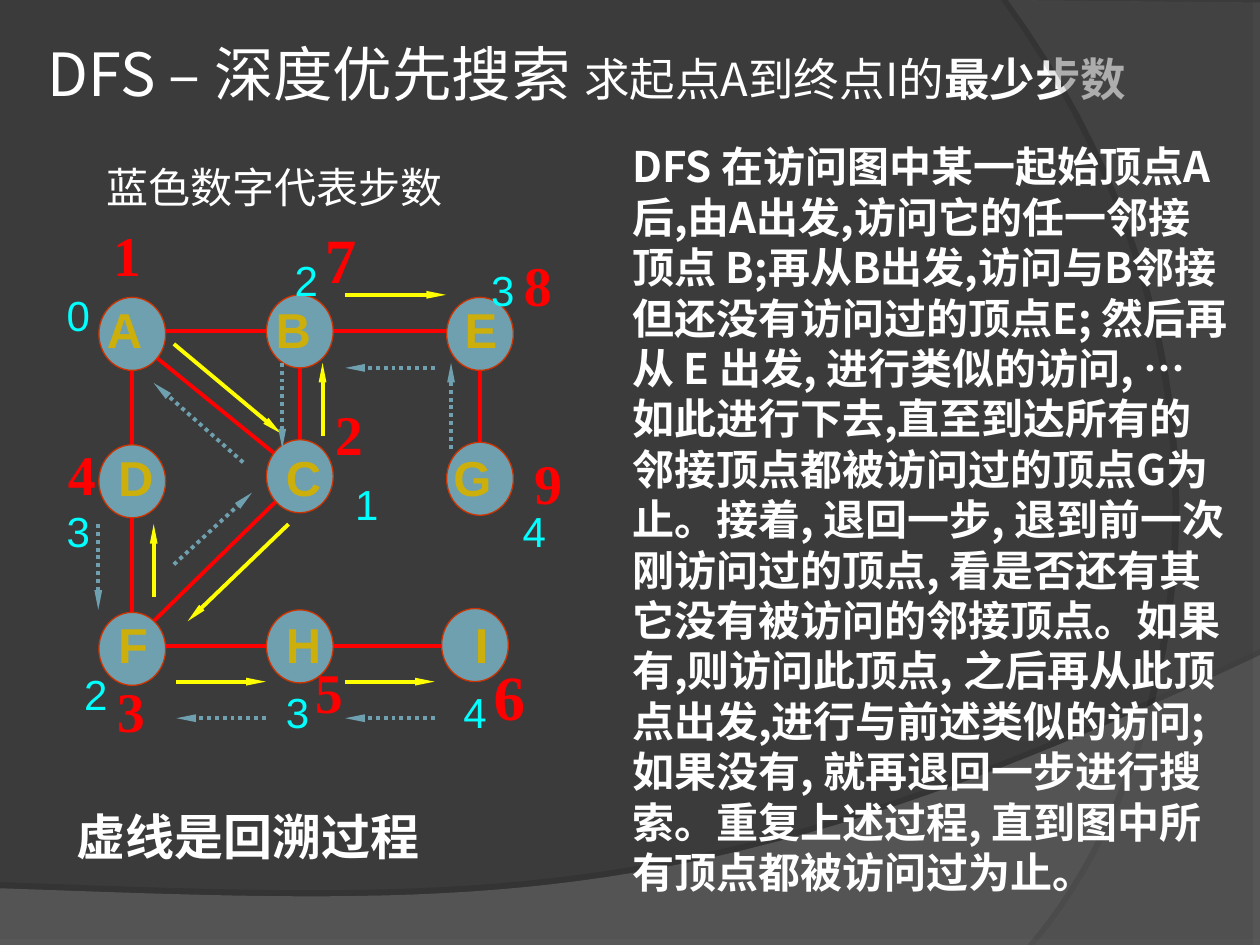
from collections import namedtuple
from dataclasses import dataclass

from lxml import etree
from pptx import Presentation
from pptx.dml.color import RGBColor
from pptx.enum.dml import MSO_LINE
from pptx.enum.shapes import MSO_CONNECTOR, MSO_SHAPE
from pptx.enum.text import MSO_ANCHOR, MSO_AUTO_SIZE, PP_ALIGN
from pptx.oxml.ns import qn
from pptx.util import Inches, Pt

DOT = MSO_LINE.ROUND_DOT
LINE = MSO_CONNECTOR.STRAIGHT
OVAL = MSO_SHAPE.OVAL
MIDDLE = MSO_ANCHOR.MIDDLE
FIXED = MSO_AUTO_SIZE.NONE
LEFT, CENTER = PP_ALIGN.LEFT, PP_ALIGN.CENTER

Box = namedtuple("Box", "x y w h")
Node = namedtuple("Node", "name x y left top step sx sy rank rx ry size")


@dataclass(frozen=True)
class Theme:
    back: str = "3B3B3B"
    wave: str = "7C7C7C"
    curve: str = "595959"
    white: str = "FFFFFF"
    node: str = "6EA0B0"
    rim: str = "CC3300"
    name: str = "CCAF0A"
    step: str = "00FFFF"
    red: str = "FF0000"
    go: str = "FFFF00"
    sans: str = "Arial"
    serif: str = "Times New Roman"
    label: str = "Cabin"
    cjk: str = "Noto Sans CJK SC"
    head: int = 34
    sub: int = 26
    body: int = 24
    note: int = 28
    stroke: float = 2.25


T = Theme()

BODY = (
    "DFS 在访问图中某一起始顶点A 后,由A出发,访问它的任一邻接顶点 B;再从B出发,"
    "访问与B邻接但还没有访问过的顶点E; 然后再从 E 出发, 进行类似的访问, … "
    "如此进行下去,直至到达所有的邻接顶点都被访问过的顶点G为止。接着, 退回一步, "
    "退到前一次刚访问过的顶点, 看是否还有其它没有被访问的邻接顶点。如果有,则访问此顶点, "
    "之后再从此顶点出发,进行与前述类似的访问; 如果没有, 就再退回一步进行搜索。"
    "重复上述过程, 直到图中所有顶点都被访问过为止。"
)

NODES = [
    Node("A", 0.65, 0.95, 0.35, 0.63, "0", 0.03, 0.55, "1", 0.4, 0, 32),
    Node("B", 1.98, 0.93, 1.69, 0.63, "2", 1.84, 0.27, "7", 2.08, 0, 36),
    Node("C", 1.98, 2.08, 1.77, 1.8, "1", 2.32, 2.05, "2", 2.16, 1.42, 32),
    Node("D", 0.65, 2.12, 0.44, 1.8, "3", 0.03, 2.26, "4", 0.04, 1.74, 32),
    Node("E", 3.41, 0.95, 3.19, 0.63, "3", 3.4, 0.35, "8", 3.66, 0.24, 32),
    Node("F", 0.65, 3.45, 0.44, 3.13, "2", 0.17, 3.56, "3", 0.43, 3.62, 32),
    Node("G", 3.41, 2.1, 3.1, 1.8, "4", 3.65, 2.26, "9", 3.74, 1.81, 32),
    Node("H", 1.98, 3.43, 1.77, 3.13, "3", 1.77, 3.7, "5", 2, 3.47, 32),
    Node("I", 3.37, 3.42, 3.27, 3.13, "4", 3.18, 3.7, "6", 3.42, 3.47, 36),
]
EDGES = [
    (0.82, 3.23, 1.8, 2.27), (0.82, 1.12, 1.89, 1.99), (1.98, 1.12, 1.98, 1.79),
    (0.82, 3.43, 3.14, 3.43), (0.65, 1.23, 0.65, 3.25), (0.82, 0.93, 3.14, 0.93),
    (3.41, 1.22, 3.41, 1.89),
]
VISITS = [
    (0.98, 1.03, 1.83, 1.74), (1.89, 2.46, 1.09, 3.23), (0.82, 3.04, 0.82, 2.46),
    (1, 3.71, 1.71, 3.71), (2.34, 3.71, 3.05, 3.71), (2.16, 1.76, 2.16, 1.18),
    (2.34, 0.64, 3.14, 0.64),
]
RETURNS = [
    (0.38, 2.46, 0.38, 3.14), (3.05, 4, 2.34, 4), (1.71, 4, 1, 4),
    (0.98, 2.78, 1.6, 2.21), (3.18, 1.86, 3.18, 1.18), (3.05, 1.22, 2.34, 1.22),
    (1.84, 1.18, 1.84, 1.86), (1.53, 1.97, 0.82, 1.34),
]


def rgb(code):
    return RGBColor.from_string(code)


def place(box):
    return [Inches(v) for v in box]


def style(run, size, face, color, bold=False):
    for key, value in {"size": Pt(size), "name": face, "bold": bold}.items():
        setattr(run.font, key, value)
    run.font.color.rgb = rgb(color)
    east = etree.SubElement(run.font._element, qn("a:ea"))
    east.set("typeface", T.cjk)


def write(slide, box, text, size, face, color, bold=False, wrap=True,
          align=LEFT, lead=None):
    frame = slide.shapes.add_textbox(*place(box)).text_frame
    frame.word_wrap = wrap
    para = frame.paragraphs[0]
    para.alignment = align
    if lead:
        para.line_spacing = Pt(lead)
    run = para.add_run()
    run.text = text
    style(run, size, face, color, bold)


def link(slide, box, ends, color, arrow=False, dash=None):
    x1, y1, x2, y2 = ends
    line = slide.shapes.add_connector(
        LINE, *place((box.x + x1, box.y + y1, box.x + x2, box.y + y2)))
    line.line.color.rgb = rgb(color)
    line.line.width = Pt(T.stroke)
    if dash:
        line.line.dash_style = dash
    props = line._element.spPr
    if arrow:
        tip = etree.SubElement(props.find(qn("a:ln")), qn("a:tailEnd"))
        for key, value in {"type": "triangle", "w": "sm", "len": "lg"}.items():
            tip.set(key, value)
    etree.SubElement(props, qn("a:effectLst"))


def bend(p, q, r, s, count=40):
    for i in range(1, count + 1):
        t = i / count
        u = 1 - t
        yield tuple(u**3 * a + 3 * u * u * t * b + 3 * u * t * t * c + t**3 * d
                    for a, b, c, d in zip(p, q, r, s))


def sweep(slide, box, points, color, alpha, dist, turn):
    spots = [place((box.x + x, box.y + y)) for x, y in points]
    form = slide.shapes.build_freeform(*spots[0])
    form.add_line_segments(spots[1:])
    shape = form.convert_to_shape()
    shape.fill.solid()
    shape.fill.fore_color.rgb = rgb(color)
    shape.line.fill.background()
    shape.shadow.inherit = False
    props = shape._element.spPr
    tint = props.find(qn("a:solidFill"))[0]
    etree.SubElement(tint, qn("a:alpha")).set("val", str(alpha * 1000))
    shade = etree.SubElement(props.find(qn("a:effectLst")), qn("a:outerShdw"))
    for key, value in {"blurRad": 0, "dist": Pt(dist), "dir": turn * 60000}.items():
        shade.set(key, str(int(value)))
    black = etree.SubElement(shade, qn("a:srgbClr"), val="000000")
    etree.SubElement(black, qn("a:alpha")).set("val", "25000")


def scene(slide, box):
    slide.background.fill.solid()
    slide.background.fill.fore_color.rgb = rgb(T.back)
    wave = [(0, 7.05), (0, 7.5), (10, 7.5), (10, 5.2)]
    wave += bend((10, 5.2), (5.59, 7.29), (3.91, 7.19), (0, 7.05))
    sweep(slide, box, wave, T.wave, 45, 3.5, 270)
    curve = [(10, 0.02), (10, 7.5), (8.21, 7.5)]
    curve += bend((8.21, 7.5), (9.35, 6.19), (10.18, 3), (8, 0))
    sweep(slide, box, curve, T.curve, 40, 4, 180)


def title(slide, box):
    shape = slide.shapes.title
    for key, value in zip(("left", "top", "width", "height"), place(box)):
        setattr(shape, key, value)
    frame = shape.text_frame
    for key, value in {"auto_size": FIXED, "word_wrap": True,
                       "vertical_anchor": MIDDLE}.items():
        setattr(frame, key, value)
    para = frame.paragraphs[0]
    para.alignment = LEFT
    para.line_spacing = 0.83
    for text, size, bold in (("DFS – 深度优先搜索 ", T.head, False),
                             ("求起点A到终点I的", T.sub, False),
                             ("最少步数", T.sub, True)):
        run = para.add_run()
        run.text = text
        style(run, size, T.cjk, T.white, bold)


def graph(slide, box):
    def mark(x, y, w, h, *look):
        write(slide, Box(box.x + x, box.y + y, w, h), *look)

    for ends in EDGES:
        link(slide, box, ends, T.red)
    wide, high = 0.53, 0.58
    for n in NODES:
        oval = slide.shapes.add_shape(OVAL, *place(
            (box.x + n.x - wide / 2, box.y + n.y - high / 2, wide, high)))
        oval.shadow.inherit = False
        oval.fill.solid()
        oval.fill.fore_color.rgb = rgb(T.node)
        oval.line.color.rgb = rgb(T.rim)
        oval.line.width = Pt(0.75)
        mark(n.left, n.top, 0.5, 0.57, n.name, T.note, T.sans, T.name, True)
    for ends in VISITS:
        link(slide, box, ends, T.go, True)
    for ends in RETURNS:
        link(slide, box, ends, T.node, True, DOT)
    for n in NODES:
        mark(n.rx, n.ry, 0.44, 0.64, n.rank, n.size, T.serif, T.red, True)
        mark(n.sx, n.sy, 0.34, 0.5, n.step, T.body, T.sans, T.step)


def notes(slide, box):
    write(slide, Box(box.x + 0.24, box.y, 3.7, 0.5), "蓝色数字代表步数",
          T.body, T.sans, T.white, lead=28.8)
    write(slide, Box(box.x, box.y + 5.12, 2.92, 0.57), "虚线是回溯过程",
          T.note, T.label, T.white, True, False, CENTER, 33.6)


def main():
    deck = Presentation()
    deck.slide_width, deck.slide_height = Inches(10), Inches(7.5)
    slide = deck.slides.add_slide(deck.slide_layouts[5])
    scene(slide, Box(0, 0, 10, 7.5))
    title(slide, Box(0.28, 0.21, 9, 0.83))
    write(slide, Box(4.92, 1.07, 4.96, 6.5), BODY, T.body, T.cjk, T.white, True,
          lead=28.8)
    graph(slide, Box(0.4, 1.7, 4.2, 4.3))
    notes(slide, Box(0.51, 1.23, 3.94, 5.69))
    deck.save("out.pptx")


if __name__ == "__main__":
    main()
